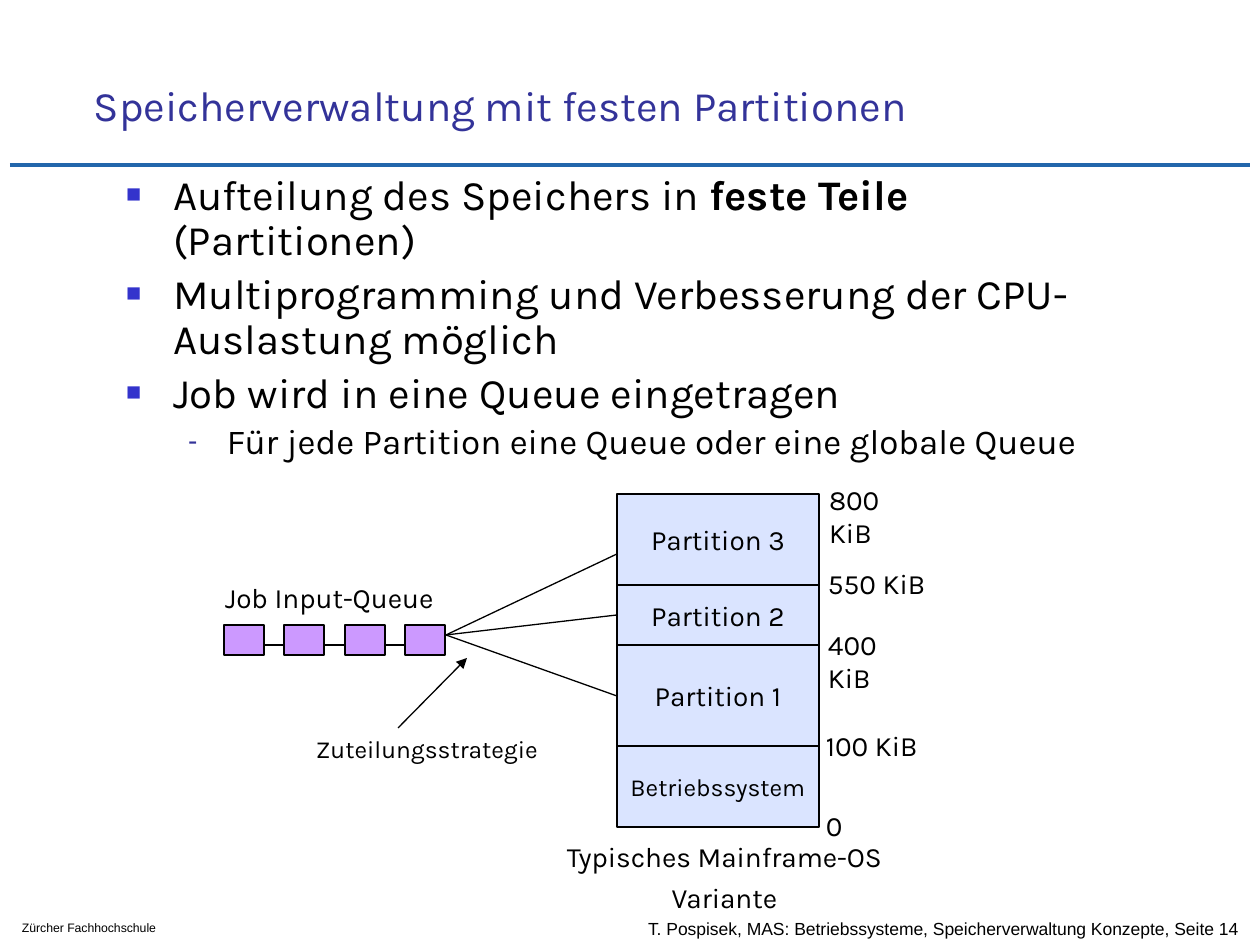
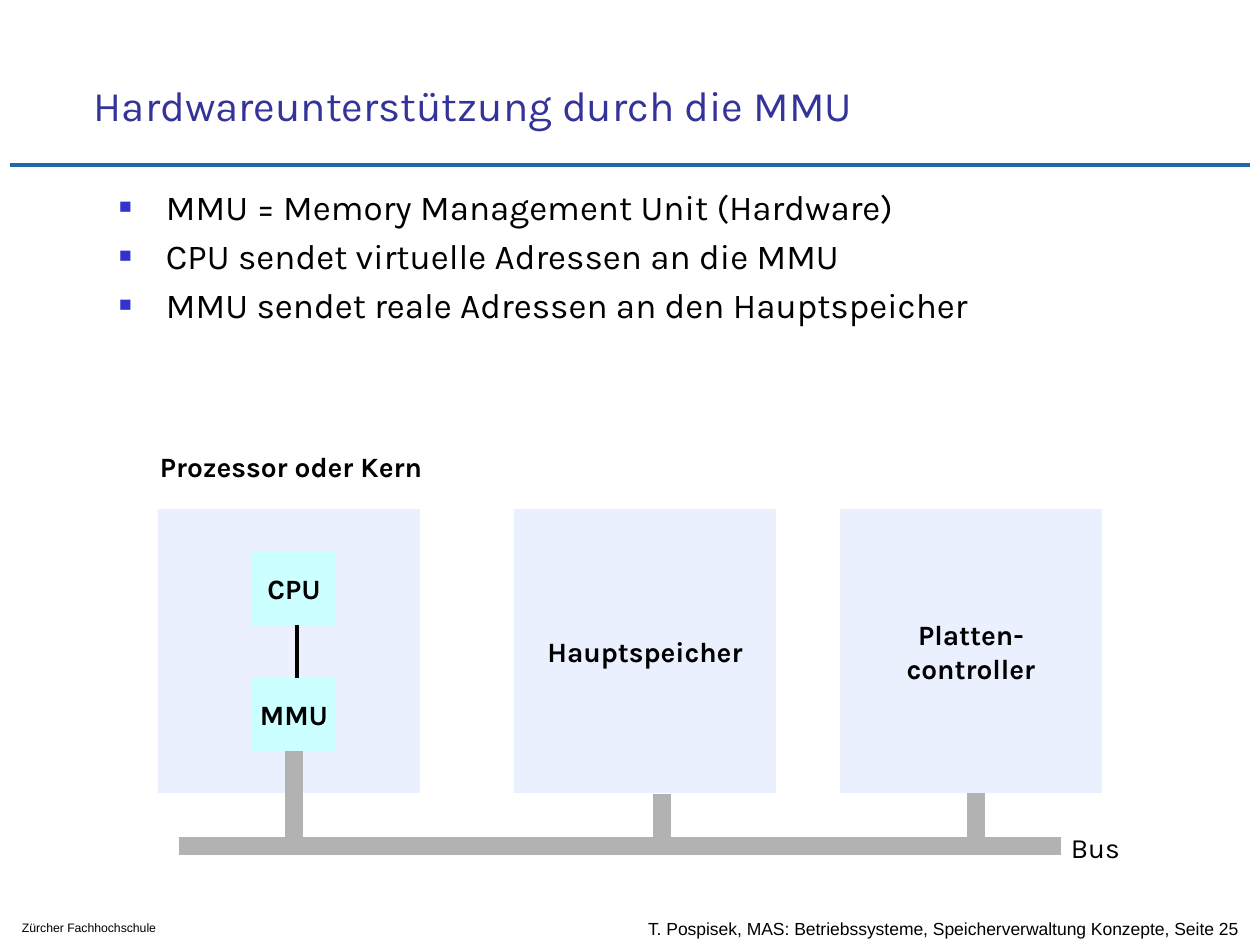
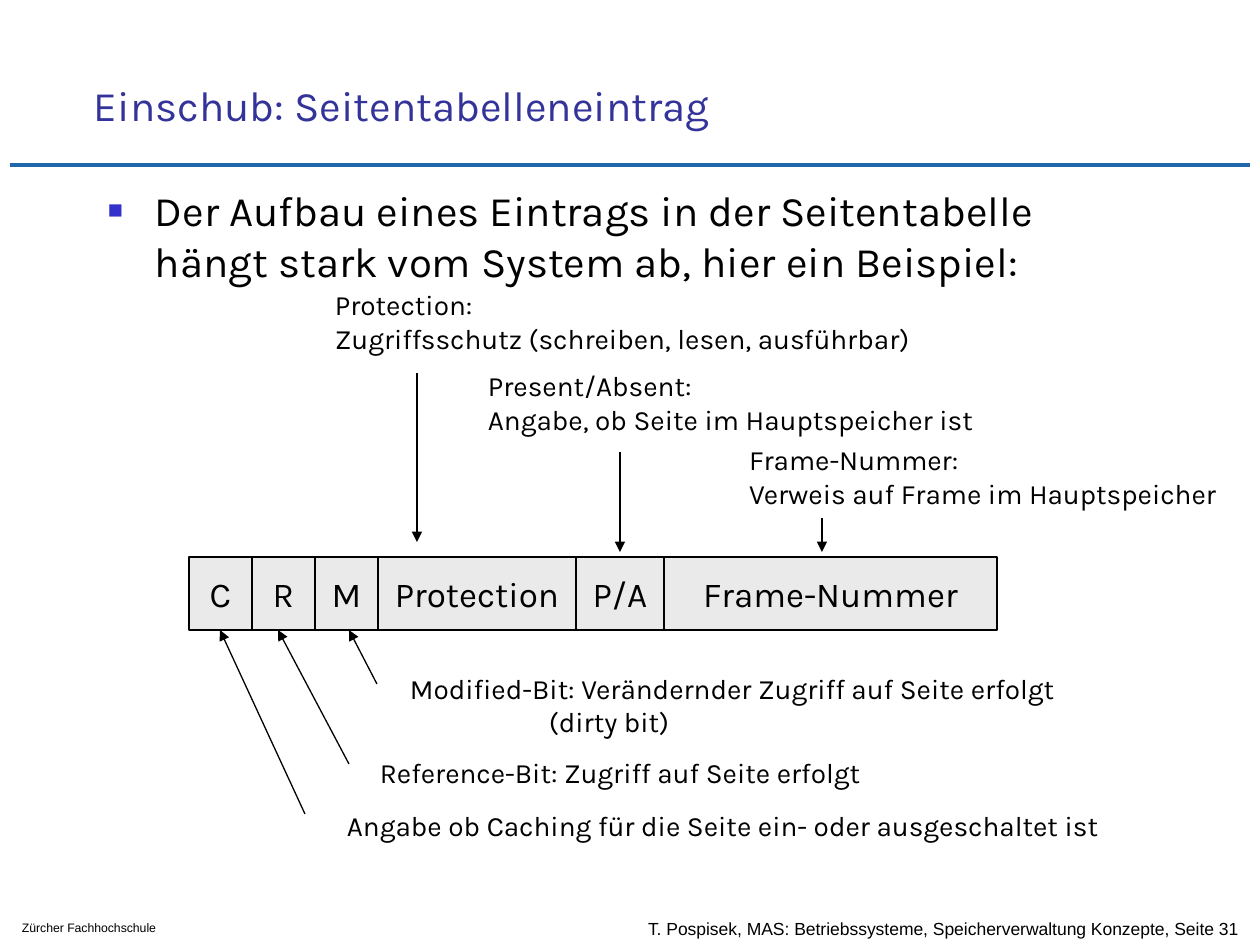
from pptx import Presentation
from pptx.dml.color import RGBColor as RGB
from pptx.enum.shapes import MSO_CONNECTOR as CONN, MSO_SHAPE as SHAPE
from pptx.enum.text import MSO_ANCHOR as ANCHOR, PP_ALIGN as ALIGN
from pptx.oxml.ns import qn
from pptx.util import Pt
from lxml.etree import SubElement as Sub

PX = 914400 / 126
FONT = "Karla"
COL = {
    "ink": "000000", "title": "333399", "rule": "2266AB", "mark": "3333CC",
    "part": "DAE4FF", "job": "CC99FF", "block": "EBF0FF", "chip": "CCFFFF",
    "bus": "B2B2B2", "cell": "EAEAEA",
}

# Content: shared
SCHOOL = "Zürcher Fachhochschule"
COURSE = "T. Pospisek, MAS: Betriebssysteme, Speicherverwaltung Konzepte, Seite "

# Content: fixed partitions
GOALS = [
    [("Aufteilung des Speichers in ", False), ("feste Teile", True), (" (Partitionen)", False)],
    "Multiprogramming und Verbesserung der CPU-Auslastung möglich",
    "Job wird in eine Queue eingetragen",
]
QUEUES = "Für jede Partition eine Queue oder eine globale Queue"
PARTS = [("Partition 3", 91, 16), ("Partition 2", 60, 16),
         ("Partition 1", 101, 16), ("Betriebssystem", 81, 14)]
SIZES = [("800 KiB", 816, 476, 110), ("550 KiB", 815, 561, 140),
         ("400 KiB", 815, 621, 110), ("100 KiB", 813, 722, 140), ("0", 813, 803, 60)]
MACHINE = ["Typisches Mainframe-OS", "Variante"]
TARGETS = [554, 615, 696]

# Content: MMU
FACTS = [
    "MMU = Memory Management Unit (Hardware)",
    "CPU sendet virtuelle Adressen an die MMU",
    "MMU sendet reale Adressen an den Hauptspeicher",
]
BLOCKS = [([], 158), (["Hauptspeicher"], 514), (["Platten-", "controller"], 840)]
CHIPS = [("CPU", 552), ("MMU", 678)]
TAPS = [(294, 751), (662, 794), (976, 793)]

# Content: page table entry
INTRO = "Der Aufbau eines Eintrags in der Seitentabelle hängt stark vom System ab, hier ein Beispiel:"
CELLS = [("C", 63), ("R", 63), ("M", 63), ("Protection", 198), ("P/A", 88), ("Frame-Nummer", 333)]
NOTES = [
    (["Protection:", "Zugriffsschutz (schreiben, lesen, ausführbar)"], 322, 282),
    (["Present/Absent:", "Angabe, ob Seite im Hauptspeicher ist"], 475, 363),
    (["Frame-Nummer:", "Verweis auf Frame im Hauptspeicher"], 736, 437),
    (["Reference-Bit: Zugriff auf Seite erfolgt"], 367, 750),
    (["Angabe ob Caching für die Seite ein- oder ausgeschaltet ist"], 334, 803),
]
DIRTY = ["Modified-Bit: Verändernder Zugriff auf Seite erfolgt", "(dirty bit)"]
ARROWS = [(305, 814, 220, 630), (349, 764, 278, 630), (377, 684, 349, 630),
          (417, 373, 417, 542), (620, 452, 620, 552), (822, 518, 822, 552)]


def emu(*vals):
    return [round(v * PX) for v in vals]


def rgb(name):
    return RGB.from_string(COL[name])


def fill(frame, paras, size=16, font=FONT, col="ink", bold=False,
         align=ALIGN.LEFT, anchor=ANCHOR.TOP, pad=13, gap=0, lead=None):
    """Write paragraphs, each a string or a list of (words, bold) runs."""
    frame.word_wrap = True
    frame.vertical_anchor = anchor
    frame.margin_left, frame.margin_right = emu(pad, pad)
    frame.margin_top, frame.margin_bottom = emu(6, 6)
    for i, runs in enumerate([paras] if isinstance(paras, str) else paras):
        par = frame.paragraphs[0] if i == 0 else frame.add_paragraph()
        par.alignment = align
        if lead:
            par.line_spacing = lead
        if i and gap:
            par.space_before = Pt(gap)
        for words, strong in [(runs, bold)] if isinstance(runs, str) else runs:
            run = par.add_run()
            run.text = words
            run.font.name, run.font.size, run.font.bold = font, Pt(size), strong
            run.font.color.rgb = rgb(col)


def text(slide, x, y, w, h, paras, **fmt):
    frame = slide.shapes.add_textbox(*emu(x, y, w, h)).text_frame
    fill(frame, paras, **fmt)
    return frame


def rect(slide, x, y, w, h, tint, paras=(), edge=True, **fmt):
    box = slide.shapes.add_shape(SHAPE.RECTANGLE, *emu(x, y, w, h))
    box.shadow.inherit = False
    box.fill.solid()
    box.fill.fore_color.rgb = rgb(tint)
    if edge:
        box.line.color.rgb = rgb("ink")
        box.line.width = Pt(0.75)
    else:
        box.line.fill.background()
    fill(box.text_frame, paras, align=ALIGN.CENTER, anchor=ANCHOR.MIDDLE, pad=0, **fmt)


def line(slide, x1, y1, x2, y2, col="ink", width=0.75, head=False):
    link = slide.shapes.add_connector(CONN.STRAIGHT, *emu(x1, y1, x2, y2))
    link.line.color.rgb = rgb(col)
    link.line.width = Pt(width)
    if head:
        Sub(link.line._get_or_add_ln(), qn("a:tailEnd"), type="triangle")
    Sub(link._element.spPr, qn("a:effectLst"))


def indent(par, left, hang=0):
    props = par._p.get_or_add_pPr()
    props.set("marL", str(emu(left)[0]))
    props.set("indent", str(emu(-hang)[0]))
    return props


def bullet(par, sign="■", col="mark", scale=60, left=48, hang=47):
    props = indent(par, left, hang)
    Sub(Sub(props, qn("a:buClr")), qn("a:srgbClr"), val=COL[col])
    Sub(props, qn("a:buSzPct"), val=str(scale * 1000))
    Sub(props, qn("a:buFont"), typeface="Arial")
    Sub(props, qn("a:buChar"), char=sign)


def start(deck, title, page):
    """Add a slide with its rule, footers and title."""
    slide = deck.slides.add_slide(deck.slide_layouts[6])
    line(slide, 10, 165, 1250, 165, col="rule", width=2.5)
    text(slide, 635, 907, 625, 42, f"{COURSE}{page}", size=10, font="Arial", anchor=ANCHOR.MIDDLE)
    text(slide, 9, 914, 217, 28, SCHOOL, size=7, font="Arial")
    text(slide, 81, 42, 1074, 94, title, size=24, col="title", anchor=ANCHOR.BOTTOM)
    return slide


def partitions(deck):
    slide = start(deck, "Speicherverwaltung mit festen Partitionen", 14)
    body = text(slide, 112, 168, 1053, 300, GOALS + [QUEUES], size=24, gap=4.8, lead=0.9)
    *goals, sub = body.paragraphs
    for par in goals:
        bullet(par)
    bullet(sub, sign="-", col="title", scale=80, left=102, hang=39)
    sub.space_before = Pt(4)
    sub.runs[0].font.size = Pt(20)

    # Memory stack
    top = 494
    for name, high, size in PARTS:
        rect(slide, 617, top, 202, high, "part", name, size=size)
        top += high
    for name, x, y, wide in SIZES:
        text(slide, x, y, wide, 47, name)
    text(slide, 528, 834, 393, 88, MACHINE, align=ALIGN.CENTER, gap=4)

    # Job queue
    line(slide, 265, 645, 416, 645)
    for i in range(4):
        rect(slide, 224 + 121 * i // 2, 625, 40, 30, "job")
    for y in TARGETS:
        line(slide, 446, 635, 617, y)
    text(slide, 212, 575, 270, 47, "Job Input-Queue")
    text(slide, 303, 728, 270, 42, "Zuteilungsstrategie", size=14)
    line(slide, 398, 728, 467, 658, head=True)


def mmu(deck):
    slide = start(deck, "Hardwareunterstützung durch die MMU", 25)
    for par in text(slide, 105, 179, 1018, 210, FACTS, size=20, gap=4).paragraphs:
        bullet(par)

    # Blocks and chips
    for name, x in BLOCKS:
        rect(slide, x, 509, 262, 284, "block", name, edge=False, bold=True)
    for name, y in CHIPS:
        rect(slide, 252, y, 84, 73, "chip", name, edge=False, bold=True)
    line(slide, 297, 625, 297, 678, width=2.25)

    # Bus
    line(slide, 179, 846, 1061, 846, col="bus", width=10)
    for x, y in TAPS:
        line(slide, x, y, x, 846, col="bus", width=10)
    text(slide, 1058, 825, 100, 47, "Bus")
    text(slide, 147, 444, 330, 47, "Prozessor oder Kern", bold=True)


def entry(deck):
    slide = start(deck, "Einschub: Seitentabelleneintrag", 31)
    bullet(text(slide, 94, 179, 1071, 120, INTRO, size=24).paragraphs[0])

    # Fields
    left = 189
    for name, wide in CELLS:
        rect(slide, left, 557, wide, 73, "cell", name, size=20)
        left += wide

    # Notes and arrows
    for paras, x, y in NOTES:
        text(slide, x, y, min(820, 1260 - x), 14 + 33 * len(paras), paras)
    dirty = text(slide, 397, 665, 720, 80, DIRTY)
    indent(dirty.paragraphs[1], 139)
    for ends in ARROWS:
        line(slide, *ends, head=True)


def main():
    deck = Presentation()
    deck.slide_width, deck.slide_height = emu(1260, 945)
    for build in (partitions, mmu, entry):
        build(deck)
    deck.save("out.pptx")


if __name__ == "__main__":
    main()
